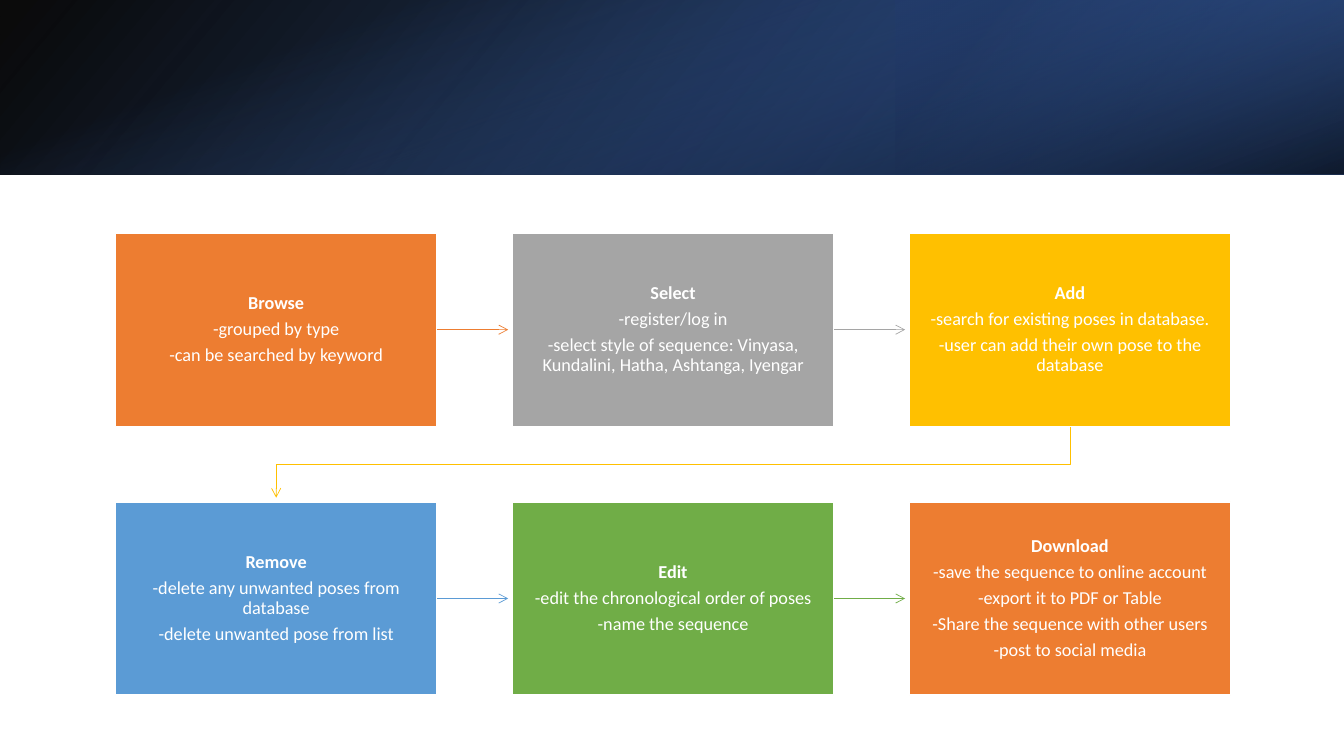
from dataclasses import dataclass

from lxml.etree import SubElement
from pptx import Presentation
from pptx.dml.color import RGBColor
from pptx.enum.shapes import MSO_CONNECTOR as Connector
from pptx.enum.shapes import MSO_SHAPE as Preset
from pptx.enum.text import MSO_ANCHOR as Anchor
from pptx.enum.text import PP_ALIGN as Align
from pptx.oxml.ns import qn
from pptx.slide import Slide
from pptx.util import Emu, Pt

EMU_PER_PX = 9525
SLIDE_WIDTH, SLIDE_HEIGHT = 1280, 720
HEADER_HEIGHT = 166
BOX_LEFT, BOX_TOP = 110, 222
BOX_WIDTH, BOX_HEIGHT = 306, 184
GAP = 72
ARROW_LENGTH = 68
BOX_INSET = 15
COLUMNS = 3
FONT = "Calibri"

WHITE = RGBColor(0xFF, 0xFF, 0xFF)
BLACK = RGBColor(0x00, 0x00, 0x00)
NAVY = RGBColor(0x20, 0x38, 0x64)
DEEP_BLUE = RGBColor(0x2F, 0x55, 0x97)
BLUE = RGBColor(0x44, 0x72, 0xC4)
ORANGE = RGBColor(0xED, 0x7D, 0x31)
GRAY = RGBColor(0xA5, 0xA5, 0xA5)
GOLD = RGBColor(0xFF, 0xC0, 0x00)
SKY = RGBColor(0x5B, 0x9B, 0xD5)
GREEN = RGBColor(0x70, 0xAD, 0x47)


@dataclass(frozen=True)
class Stop:
    percent: int
    color: RGBColor
    opacity: int


@dataclass(frozen=True)
class Band:
    left: int
    top: int
    width: int
    height: int
    rotation: int
    flipped: bool
    angle: int
    stops: tuple[Stop, Stop]


@dataclass(frozen=True)
class Step:
    title: str
    details: tuple[str, ...]
    color: RGBColor


BANDS = (
    Band(0, 0, SLIDE_WIDTH, HEADER_HEIGHT, 0, True, 140,
         (Stop(0, BLACK, 96), Stop(100, DEEP_BLUE, 100))),
    Band(853, 0, SLIDE_WIDTH - 853, HEADER_HEIGHT, 180, True, 320,
         (Stop(19, NAVY, 68), Stop(100, BLUE, 79))),
    Band((SLIDE_WIDTH - HEADER_HEIGHT) // 2, (HEADER_HEIGHT - SLIDE_WIDTH) // 2,
         HEADER_HEIGHT, SLIDE_WIDTH, 90, False, 340,
         (Stop(23, BLUE, 0), Stop(99, BLACK, 74))),
)

STEPS = (
    Step("Browse", ("-grouped by type", "-can be searched by keyword"), ORANGE),
    Step("Select", ("-register/log in",
                    "-select style of sequence: Vinyasa, Kundalini, Hatha, Ashtanga, Iyengar"), GRAY),
    Step("Add", ("-search for existing poses in database.",
                 "-user can add their own pose to the database"), GOLD),
    Step("Remove", ("-delete any unwanted poses from database",
                    "-delete unwanted pose from list"), SKY),
    Step("Edit", ("-edit the chronological order of poses", "-name the sequence"), GREEN),
    Step("Download", ("-save the sequence to online account", "-export it to PDF or Table",
                      "-Share the sequence with other users", "-post to social media"), ORANGE),
)


def px(value: int) -> Emu:
    return Emu(value * EMU_PER_PX)


def draw_band(slide: Slide, band: Band) -> None:
    shape = slide.shapes.add_shape(
        Preset.RECTANGLE, px(band.left), px(band.top), px(band.width), px(band.height))
    shape.shadow.inherit = False
    shape.line.fill.background()
    shape.rotation = band.rotation
    if band.flipped:
        shape.element.spPr.find(qn("a:xfrm")).set("flipH", "1")
    shape.fill.gradient()
    shape.fill.gradient_angle = 360 - band.angle
    for gradient_stop, stop in zip(shape.fill.gradient_stops, band.stops):
        gradient_stop.position = stop.percent / 100
        gradient_stop.color.rgb = stop.color
    for color, stop in zip(shape.element.spPr.iter(qn("a:srgbClr")), band.stops):
        SubElement(color, qn("a:alpha")).set("val", str(stop.opacity * 1000))


def box_position(index: int) -> tuple[int, int]:
    row, column = divmod(index, COLUMNS)
    return BOX_LEFT + column * (BOX_WIDTH + GAP), BOX_TOP + row * (BOX_HEIGHT + GAP)


def draw_arrow(slide: Slide, index: int, color: RGBColor) -> None:
    left, top = box_position(index)
    if (index + 1) % COLUMNS:
        start, middle = left + BOX_WIDTH, top + BOX_HEIGHT // 2
        arrow = slide.shapes.add_connector(
            Connector.STRAIGHT, px(start), px(middle), px(start + ARROW_LENGTH), px(middle))
        SubElement(arrow.element.spPr, qn("a:effectLst"))
    else:
        start, bottom = left + BOX_WIDTH // 2, top + BOX_HEIGHT
        end, turn = BOX_LEFT + BOX_WIDTH // 2, bottom + GAP // 2
        builder = slide.shapes.build_freeform(start, bottom, scale=EMU_PER_PX)
        builder.add_line_segments(
            ((start, turn), (end, turn), (end, bottom + ARROW_LENGTH)), close=False)
        arrow = builder.convert_to_shape()
        arrow.fill.background()
        arrow.shadow.inherit = False
    arrow.line.color.rgb = color
    arrow.line.width = Pt(0.5)
    line = arrow.element.spPr.find(qn("a:ln"))
    SubElement(line, qn("a:tailEnd")).set("type", "arrow")


def draw_step(slide: Slide, index: int, step: Step) -> None:
    left, top = box_position(index)
    box = slide.shapes.add_shape(
        Preset.RECTANGLE, px(left), px(top), px(BOX_WIDTH), px(BOX_HEIGHT))
    box.shadow.inherit = False
    box.fill.solid()
    box.fill.fore_color.rgb = step.color
    box.line.color.rgb = WHITE
    box.line.width = Pt(1)
    frame = box.text_frame
    frame.word_wrap = True
    frame.vertical_anchor = Anchor.MIDDLE
    frame.margin_left = frame.margin_right = px(BOX_INSET)
    frame.margin_top = frame.margin_bottom = px(BOX_INSET)
    for position, text in enumerate((step.title, *step.details)):
        paragraph = frame.add_paragraph() if position else frame.paragraphs[0]
        paragraph.alignment = Align.CENTER
        paragraph.line_spacing = 0.9
        paragraph.space_after = Pt(4.5)
        run = paragraph.add_run()
        run.text = text
        run.font.name = FONT
        run.font.size = Pt(13)
        run.font.bold = position == 0
        run.font.color.rgb = WHITE


def main() -> None:
    presentation = Presentation()
    presentation.slide_width = px(SLIDE_WIDTH)
    presentation.slide_height = px(SLIDE_HEIGHT)
    slide = presentation.slides.add_slide(presentation.slide_layouts.get_by_name("Blank"))
    for band in BANDS:
        draw_band(slide, band)
    for index, step in enumerate(STEPS):
        if index < len(STEPS) - 1:
            draw_arrow(slide, index, step.color)
        draw_step(slide, index, step)
    presentation.save("out.pptx")


if __name__ == "__main__":
    main()
